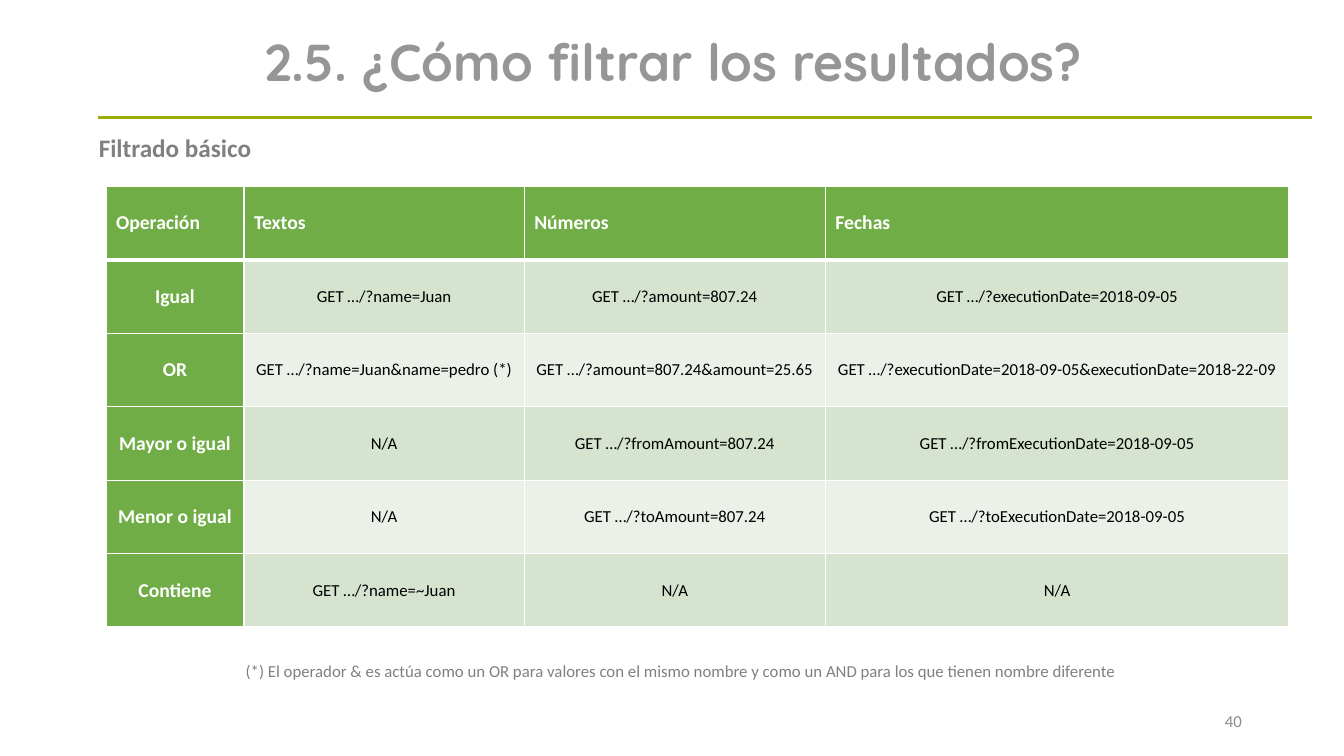
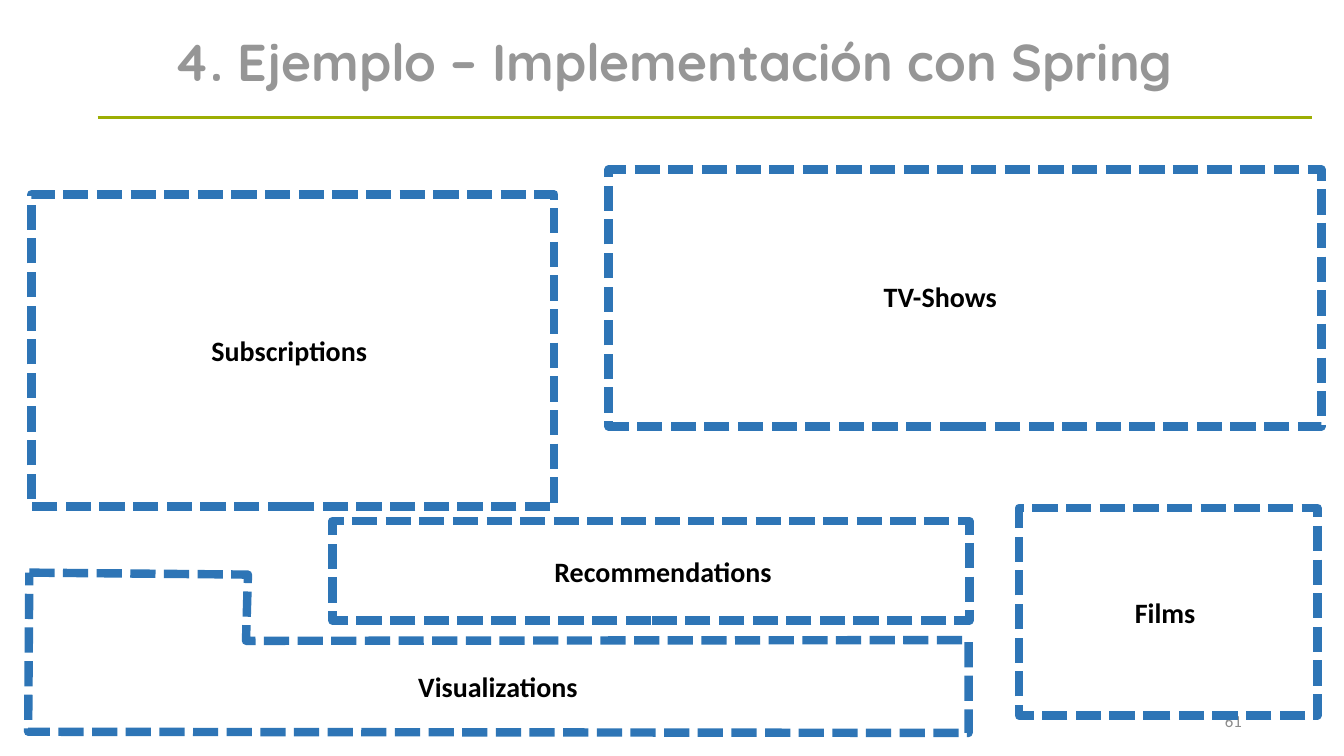
from lxml import etree
from pptx import Presentation
from pptx.dml.color import RGBColor
from pptx.enum.dml import MSO_LINE
from pptx.enum.shapes import MSO_CONNECTOR, MSO_SHAPE
from pptx.enum.text import MSO_ANCHOR, PP_ALIGN
from pptx.oxml.ns import qn
from pptx.util import Cm, Pt

LEFT, MID, RIGHT, JUST = (PP_ALIGN.LEFT, PP_ALIGN.CENTER,
                          PP_ALIGN.RIGHT, PP_ALIGN.JUSTIFY)
TOP, CENTER = MSO_ANCHOR.TOP, MSO_ANCHOR.MIDDLE
DASH = MSO_LINE.SQUARE_DOT
RECT = MSO_SHAPE.RECTANGLE
STRAIGHT = MSO_CONNECTOR.STRAIGHT


def style(size, color, bold=False, name="Calibri"):
    return {"size": Pt(size), "bold": bold, "name": name, "color": color}


class Theme:
    rule = "9CAE04"
    frame = "2E75B6"
    green = "70AD47"
    bands = ("D5E3CF", "EBF1E9")
    edge = "FFFFFF"
    title = style(37, "969696", True, "Quicksand")
    head = style(18, "808080", True)
    note = style(12, "808080")
    page = style(12, "8C8C8C")
    label = style(20, "000000", True)
    key = style(14, "FFFFFF", True)
    cell = style(12, "000000")


class Deck:
    def __init__(self, theme):
        self.theme = theme
        self.prs = Presentation()
        self.prs.slide_width, self.prs.slide_height = Cm(33.87), Cm(19.05)
        self.slide = None

    def start(self, title, page):
        """Add a slide with the shared title, rule and page number."""
        self.slide = self.prs.slides.add_slide(self.prs.slide_layouts[6])
        self.rule(2.46, 2.95, 33.07)
        self.text(title, (2.46, 0.56, 29.01, 2.13), self.theme.title,
                  MID, CENTER, 0.9)
        self.text(page, (23.93, 17.65, 7.62, 1.02), self.theme.page,
                  RIGHT, CENTER)

    def put(self, frame, text, look, align, space=None):
        """Set the styled text of a frame's first paragraph."""
        para = frame.paragraphs[0]
        para.alignment = align
        if space:
            para.line_spacing = space
        run = para.add_run()
        run.text = text
        for key, value in look.items():
            if key == "color":
                run.font.color.rgb = RGBColor.from_string(value)
            else:
                setattr(run.font, key, value)

    def text(self, text, box, look, align=LEFT, anchor=TOP, space=None):
        frame = self.slide.shapes.add_textbox(*map(Cm, box)).text_frame
        frame.word_wrap = True
        frame.vertical_anchor = anchor
        self.put(frame, text, look, align, space)

    def rule(self, left, top, right):
        line = self.slide.shapes.add_connector(
            STRAIGHT, Cm(left), Cm(top), Cm(right), Cm(top))
        line.line.color.rgb = RGBColor.from_string(self.theme.rule)
        line.line.width = Pt(2.25)
        etree.SubElement(line._element.spPr, qn("a:effectLst"))

    def dash(self, shape):
        """Leave the shape hollow, with a thick dashed outline."""
        shape.shadow.inherit = False
        shape.fill.background()
        shape.line.color.rgb = RGBColor.from_string(self.theme.frame)
        shape.line.width = Pt(6)
        shape.line.dash_style = DASH

    def frame(self, box):
        self.dash(self.slide.shapes.add_shape(RECT, *map(Cm, box)))

    def outline(self, points):
        first, *rest = [(Cm(x), Cm(y)) for x, y in points]
        pen = self.slide.shapes.build_freeform(*first)
        pen.add_line_segments(rest, close=True)
        self.dash(pen.convert_to_shape())

    def edges(self, cell, widths):
        props = cell._tc.get_or_add_tcPr()
        for side, width in zip("LRTB", widths):
            line = etree.SubElement(props, qn(f"a:ln{side}"), w=str(Pt(width)))
            fill = etree.SubElement(line, qn("a:solidFill"))
            etree.SubElement(fill, qn("a:srgbClr"), val=self.theme.edge)

    def table(self, left, top, cols, high, rows):
        look = self.theme
        table = self.slide.shapes.add_table(
            len(rows), len(cols), Cm(left), Cm(top),
            Cm(sum(cols)), Cm(high * len(rows))).table
        for col, width in zip(table.columns, cols):
            col.width = Cm(width)
        for r, row in enumerate(rows):
            table.rows[r].height = Cm(high)
            for c, text in enumerate(row):
                cell = table.cell(r, c)
                key = r == 0 or c == 0
                self.edges(cell, (1, 1, 3 if r == 1 else 1, 3 if r == 0 else 1))
                cell.fill.solid()
                cell.fill.fore_color.rgb = RGBColor.from_string(
                    look.green if key else look.bands[(r - 1) % 2])
                cell.vertical_anchor = CENTER
                self.put(cell.text_frame, text,
                         look.key if key else look.cell,
                         MID if r else LEFT)


def filters(deck):
    look = deck.theme
    deck.start("2.5. ¿Cómo filtrar los resultados?", "40")
    deck.text("Filtrado básico", (2.24, 2.84, 30.61, 1.3), look.head,
              JUST, space=1.5)
    deck.table(2.67, 4.7, (3.48, 7.06, 7.59, 11.68), 1.85, [
        ("Operación", "Textos", "Números", "Fechas"),
        ("Igual", "GET …/?name=Juan", "GET …/?amount=807.24",
         "GET …/?executionDate=2018-09-05"),
        ("OR", "GET …/?name=Juan&name=pedro (*)",
         "GET …/?amount=807.24&amount=25.65",
         "GET …/?executionDate=2018-09-05&executionDate=2018-22-09"),
        ("Mayor o igual", "N/A", "GET …/?fromAmount=807.24",
         "GET …/?fromExecutionDate=2018-09-05"),
        ("Menor o igual", "N/A", "GET …/?toAmount=807.24",
         "GET …/?toExecutionDate=2018-09-05"),
        ("Contiene", "GET …/?name=~Juan", "N/A", "N/A"),
    ])
    deck.text("(*) El operador & es actúa como un OR para valores con el mismo "
              "nombre y como un AND para los que tienen nombre diferente",
              (5.94, 16.28, 23.16, 1.02), look.note, space=1.5)


def domains(deck):
    deck.start("4. Ejemplo – Implementación con Spring", "61")
    for box in ((0.79, 4.9, 13.18, 7.87), (25.68, 12.8, 7.52, 5.23),
                (15.34, 4.27, 17.96, 6.48), (8.38, 13.13, 16.05, 2.51)):
        deck.frame(box)
    deck.outline([(0.74, 14.43), (6.25, 14.48), (6.2, 16.15),
                  (24.41, 16.13), (24.41, 18.47), (0.71, 18.44)])
    for name, left, top, width in (
            ("Subscriptions", 5.08, 8.28, 4.57),
            ("Visualizations", 10.29, 16.74, 4.57),
            ("Recommendations", 13.72, 13.84, 6.48),
            ("TV-Shows", 22.02, 6.93, 4.57),
            ("Films", 28.35, 14.88, 2.18)):
        deck.text(name, (left, top, width, 1.12), deck.theme.label)


def main():
    deck = Deck(Theme())
    filters(deck)
    domains(deck)
    deck.prs.save("out.pptx")


if __name__ == "__main__":
    main()
